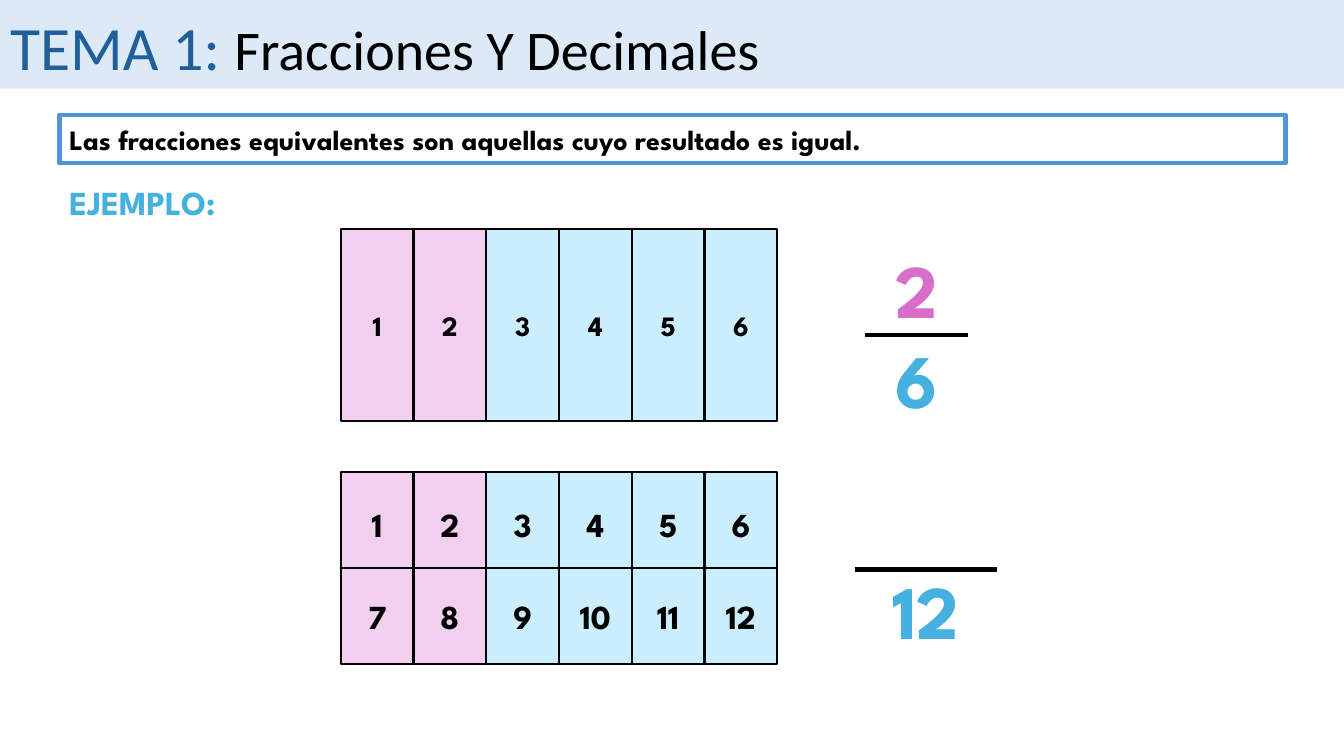
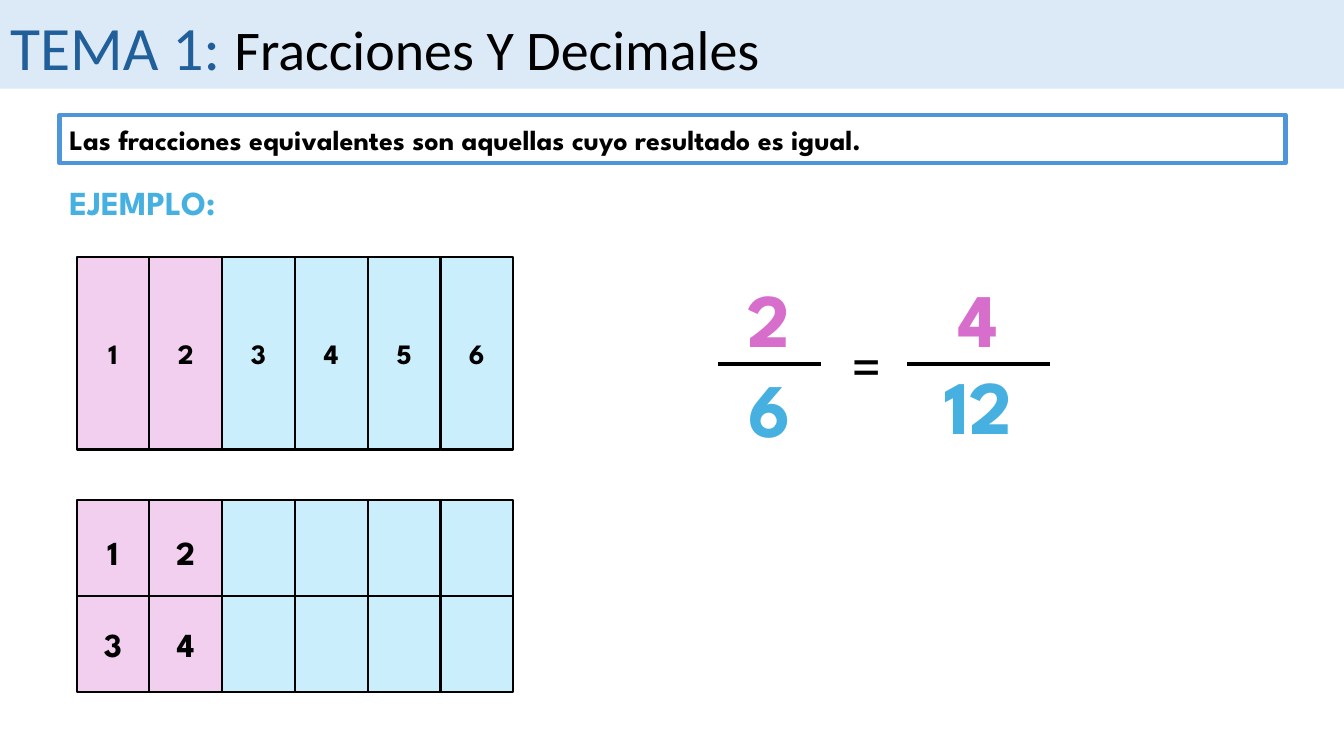
from dataclasses import dataclass

from lxml.etree import SubElement
from pptx import Presentation
from pptx.dml.color import RGBColor
from pptx.enum.shapes import MSO_CONNECTOR as Connector, MSO_SHAPE as Shape
from pptx.enum.text import MSO_ANCHOR as Anchor, MSO_AUTO_SIZE as AutoSize, PP_ALIGN as Align
from pptx.oxml.ns import qn
from pptx.util import Inches, Pt


@dataclass(frozen=True)
class Theme:
    heading_font: str = "Calibri"
    body_font: str = "League Spartan"
    black: str = "000000"
    band: str = "DCEAF7"
    topic: str = "215F9A"
    frame: str = "4E95D9"
    pink: str = "D86ECC"
    blue: str = "46B1E1"
    pale_pink: str = "F2CFEE"
    pale_blue: str = "CAEEFB"
    topic_size: int = 44
    title_size: int = 40
    text_size: int = 20
    label_size: int = 24
    fraction_size: int = 54


THEME = Theme()
SLIDE_WIDTH = 13.33
COLUMNS = 6
SHADED_COLUMNS = 2
BAR_WIDTH, BAR_HEIGHT = 4.33, 1.91
COLUMN_WIDTH = BAR_WIDTH / COLUMNS


# Text and basic elements
def add_span(para, text, *, size=THEME.text_size, color=THEME.black,
             font=THEME.body_font, bold=True):
    span = para.add_run()
    span.text = text
    span.font.name = font
    span.font.size = Pt(size)
    span.font.bold = bold
    span.font.color.rgb = RGBColor.from_string(color)


def add_text(shapes, text, left, top, width, height, *, align=Align.CENTER, **style):
    box = shapes.add_textbox(Inches(left), Inches(top), Inches(width), Inches(height))
    box.text_frame.word_wrap = True
    para = box.text_frame.paragraphs[0]
    para.alignment = align
    add_span(para, text, **style)


def add_rectangle(shapes, left, top, width, height, *, fill=None, line=None, weight=1.5):
    box = shapes.add_shape(Shape.RECTANGLE, Inches(left), Inches(top),
                           Inches(width), Inches(height))
    box.shadow.inherit = False
    if fill:
        box.fill.solid()
        box.fill.fore_color.rgb = RGBColor.from_string(fill)
    else:
        box.fill.background()
    if line:
        box.line.color.rgb = RGBColor.from_string(line)
        box.line.width = Pt(weight)
    else:
        box.line.fill.background()
    return box


def add_rule(shapes, left, right, y, weight):
    rule = shapes.add_connector(Connector.STRAIGHT, Inches(left), Inches(y),
                                Inches(right), Inches(y))
    rule.line.color.rgb = RGBColor.from_string(THEME.black)
    rule.line.width = Pt(weight)
    SubElement(rule.element.spPr, qn("a:effectLst"))
    return rule


# Parts shared by every slide
def add_page(deck):
    page = deck.slides.add_slide(deck.slide_layouts[5])
    title = page.shapes.title
    band = add_rectangle(page.shapes, 0, 0, SLIDE_WIDTH, 0.88, fill=THEME.band)
    title.element.addprevious(band.element)

    title.left, title.top = Inches(0), Inches(0.04)
    title.width, title.height = Inches(11.85), Inches(0.84)
    frame = title.text_frame
    frame.auto_size = AutoSize.NONE
    frame.vertical_anchor = Anchor.TOP
    para = frame.paragraphs[0]
    para.alignment = Align.LEFT
    heading = dict(font=THEME.heading_font, bold=False)
    add_span(para, "TEMA 1: ", size=THEME.topic_size, color=THEME.topic, **heading)
    add_span(para, "Fracciones Y Decimales", size=THEME.title_size, **heading)

    statement = add_rectangle(page.shapes, 0.59, 1.14, 12.16, 0.48,
                              line=THEME.frame, weight=3)
    statement.text_frame.word_wrap = True
    statement.text_frame.vertical_anchor = Anchor.MIDDLE
    para = statement.text_frame.paragraphs[0]
    para.alignment = Align.LEFT
    add_span(para, "Las fracciones equivalentes son aquellas cuyo resultado es igual.")

    add_text(page.shapes, "EJEMPLO:", 0.59, 1.76, 2.14, 0.5, align=Align.LEFT,
             size=THEME.label_size, color=THEME.blue)
    return page


# Fraction drawings
def add_columns(shapes, left, top):
    return [
        add_rectangle(shapes, left + i * COLUMN_WIDTH, top, COLUMN_WIDTH, BAR_HEIGHT,
                      fill=THEME.pale_pink if i < SHADED_COLUMNS else THEME.pale_blue,
                      line=THEME.black)
        for i in range(COLUMNS)
    ]


def add_numbers(shapes, numbers, left, top, height, size):
    for i, number in enumerate(numbers):
        add_text(shapes, str(number), left + i * COLUMN_WIDTH, top,
                 COLUMN_WIDTH, height, size=size)


def add_sixths(shapes, left, top):
    add_columns(shapes, left, top)
    add_numbers(shapes, range(1, COLUMNS + 1), left, top + 0.74, 0.44, THEME.text_size)


def add_twelfths(shapes, left, top, per_row):
    columns = add_columns(shapes, left, top)
    divider = add_rule(shapes, left, left + BAR_WIDTH, top + BAR_HEIGHT / 2, 1.5)
    divider.begin_connect(columns[0], 1)
    divider.end_connect(columns[-1], 3)
    for row, offset in enumerate((0.27, 1.18)):
        first = row * per_row + 1
        add_numbers(shapes, range(first, first + per_row), left, top + offset,
                    0.5, THEME.label_size)


def add_fraction(shapes, numerator, denominator, left, y, width, rise=0.07):
    if numerator:
        add_text(shapes, numerator, left, y - 0.96, width, 1.01,
                 size=THEME.fraction_size, color=THEME.pink)
    add_text(shapes, denominator, left, y - rise, width, 1.01,
             size=THEME.fraction_size, color=THEME.blue)
    add_rule(shapes, left, left + width, y, 3)


# Slides
def add_counting_page(deck):
    shapes = add_page(deck).shapes
    add_sixths(shapes, 3.38, 2.27)
    add_twelfths(shapes, 3.38, 4.68, per_row=COLUMNS)
    add_fraction(shapes, "2", "6", 8.58, 3.32, 1.02)
    add_fraction(shapes, None, "12", 8.48, 5.65, 1.41, rise=0.11)


def add_equivalence_page(deck):
    shapes = add_page(deck).shapes
    add_sixths(shapes, 0.76, 2.55)
    add_twelfths(shapes, 0.76, 4.96, per_row=SHADED_COLUMNS)
    equation = shapes.add_group_shape().shapes
    add_fraction(equation, "2", "6", 7.12, 3.61, 1.02)
    add_text(equation, "=", 8.29, 3.19, 0.62, 0.84, size=THEME.topic_size, bold=False)
    add_fraction(equation, "4", "12", 9, 3.61, 1.41, rise=0.1)


def main():
    deck = Presentation()
    deck.slide_width, deck.slide_height = Inches(SLIDE_WIDTH), Inches(7.5)
    add_counting_page(deck)
    add_equivalence_page(deck)
    deck.save("out.pptx")


if __name__ == "__main__":
    main()
